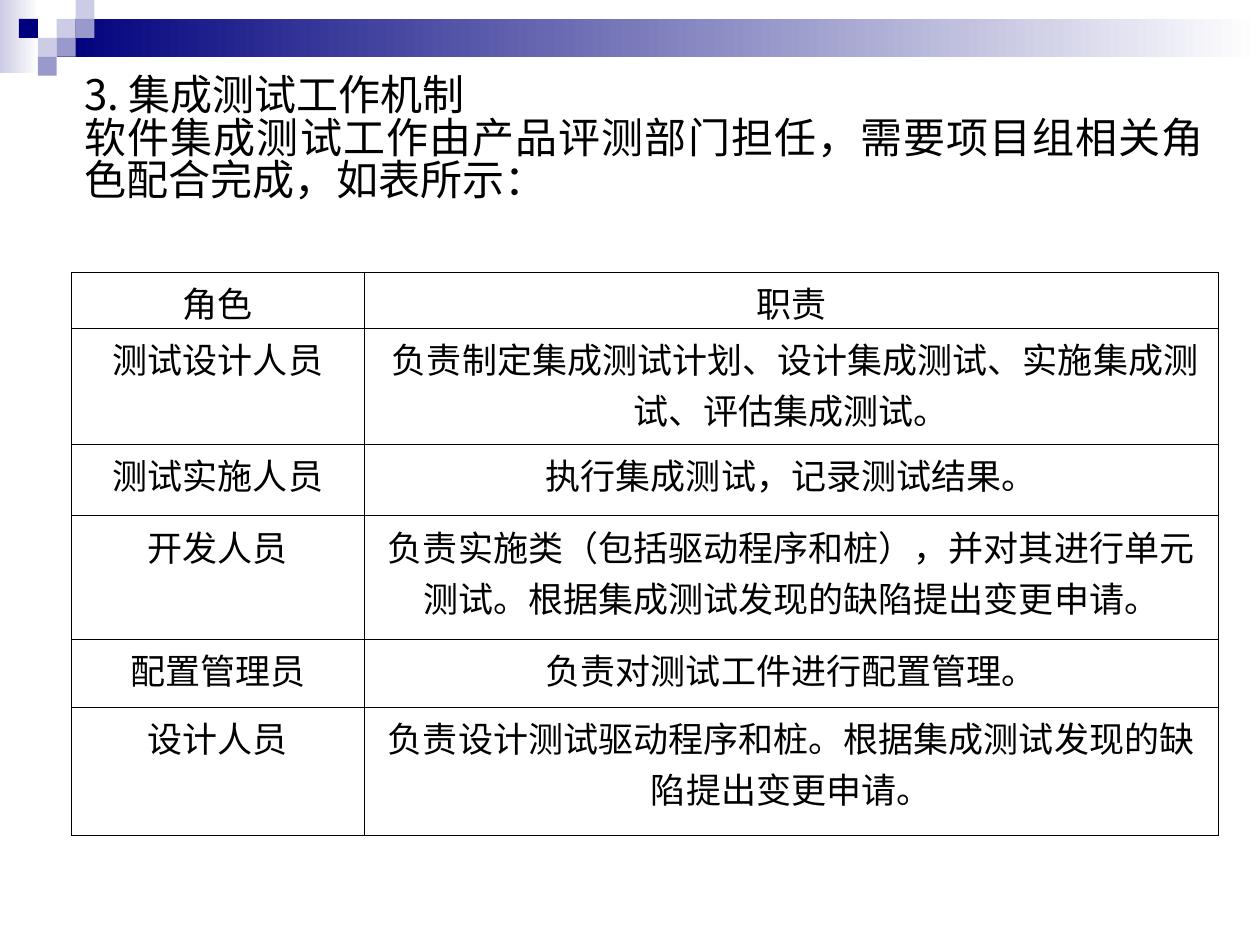
"""Build the slide on how integration testing work is organised."""
import dataclasses

import pptx
import pptx.dml.color
import pptx.enum.shapes
import pptx.enum.text
import pptx.oxml
import pptx.oxml.ns
import pptx.util

Inches = pptx.util.Inches
Align = pptx.enum.text.PP_ALIGN


@dataclasses.dataclass(frozen=True)
class Theme:
    """Colours, fonts and type sizes of the slide."""
    navy: str = "00007D"
    violet: str = "9999CC"
    pale: str = "CCCCE6"
    white: str = "FFFFFF"
    ink: str = "000000"
    border: str = "080000"
    border_width: float = 0.45
    font: str = "Noto Sans CJK SC"
    header_font: str = "Times New Roman"
    intro_size: int = 24
    cell_size: int = 20


THEME = Theme()
UNIT = 0.15
LEFT, WIDTH = 0.57, 9.09
INTRO = [
    "3. 集成测试工作机制",
    "软件集成测试工作由产品评测部门担任，需要项目组相关角色配合完成，如表所示：",
]
COLUMNS = [2.32, 6.78]
ROWS = [
    (0.35, "角色", "职责"),
    (0.92, "测试设计人员", " 负责制定集成测试计划、设计集成测试、实施集成测试、评估集成测试。"),
    (0.57, "测试实施人员", "执行集成测试，记录测试结果。"),
    (0.98, "开发人员", "负责实施类（包括驱动程序和桩），并对其进行单元测试。根据集成测试发现的缺陷提出变更申请。"),
    (0.54, "配置管理员", "负责对测试工件进行配置管理。"),
    (1.02, "设计人员", "负责设计测试驱动程序和桩。根据集成测试发现的缺陷提出变更申请。"),
]
MOSAIC = [
    (3, 1, THEME.pale), (4, 0, THEME.pale), (4, 1, THEME.violet), (2, 2, THEME.pale),
    (1, 1, THEME.navy), (3, 2, THEME.violet), (2, 3, THEME.violet),
]


def apply(target, values):
    """Set every attribute in a dict of format values."""
    for name, value in values.items():
        setattr(target, name, value)


def rgb(code):
    """Turn a hex code into a colour."""
    return pptx.dml.color.RGBColor.from_string(code)


def add_block(page, frame, *colours):
    """Add a borderless rectangle, filled plain or fading between two colours."""
    kind = pptx.enum.shapes.MSO_SHAPE.RECTANGLE
    block = page.shapes.add_shape(kind, *map(Inches, frame))
    block.shadow.inherit = False
    block.line.fill.background()
    if len(colours) == 1:
        block.fill.solid()
        block.fill.fore_color.rgb = rgb(colours[0])
        return
    block.fill.gradient()
    block.fill.gradient_angle = 0
    for stop, colour, position in zip(block.fill.gradient_stops, colours, (0, 1)):
        stop.color.rgb = rgb(colour)
        stop.position = position


def write(para, text, size, alignment, font=THEME.font):
    """Write one formatted run into a paragraph."""
    para.alignment = alignment
    span = para.add_run()
    span.text = text
    apply(span.font, {"size": pptx.util.Pt(size), "name": font, "bold": False})
    span.font.color.rgb = rgb(THEME.ink)
    latin = span.font._element.find(pptx.oxml.ns.qn("a:latin"))
    east_asian = pptx.oxml.parse_xml(
        f'<a:ea {pptx.oxml.ns.nsdecls("a")} typeface="{THEME.font}"/>')
    latin.addnext(east_asian)


def add_banner(page):
    """Draw the fading bands and the mosaic of squares at the top."""
    add_block(page, (0, 0, 0.31, 0.58), THEME.pale, THEME.white)
    add_block(page, (3 * UNIT, UNIT, 10 - 3 * UNIT, 2 * UNIT), THEME.navy, THEME.white)
    for column, row, colour in MOSAIC:
        add_block(page, (column * UNIT, row * UNIT, UNIT, UNIT), colour)


def add_intro(page):
    """Fill the title placeholder with the heading and its sentence."""
    box = page.shapes.title
    apply(box, {"left": Inches(LEFT), "top": Inches(0.56),
                "width": Inches(WIDTH), "height": Inches(1.3)})
    frame = box.text_frame
    apply(frame, {"word_wrap": True,
                  "auto_size": pptx.enum.text.MSO_AUTO_SIZE.NONE,
                  "vertical_anchor": pptx.enum.text.MSO_ANCHOR.TOP})
    for index, text in enumerate(INTRO):
        para = frame.add_paragraph() if index else frame.paragraphs[0]
        write(para, text, THEME.intro_size, Align.JUSTIFY)
        para.line_spacing = 0.84


def add_borders(cell):
    """Draw a thin line on all four sides of a cell."""
    width = pptx.util.Pt(THEME.border_width)
    for side in ("lnL", "lnR", "lnT", "lnB"):
        cell._tc.get_or_add_tcPr().append(pptx.oxml.parse_xml(
            f'<a:{side} {pptx.oxml.ns.nsdecls("a")} w="{width}"><a:solidFill>'
            f'<a:srgbClr val="{THEME.border}"/></a:solidFill></a:{side}>'))


def add_roles(page):
    """Add the table of roles and duties."""
    height = sum(row[0] for row in ROWS)
    frame = map(Inches, (LEFT, 2.16, WIDTH, height))
    table = page.shapes.add_table(len(ROWS), len(COLUMNS), *frame).table
    apply(table, {"first_row": False, "horz_banding": False})
    for column, width in zip(table.columns, COLUMNS):
        column.width = Inches(width)
    for index, (row, (height, *texts)) in enumerate(zip(table.rows, ROWS)):
        row.height = Inches(height)
        for column, (cell, text) in enumerate(zip(row.cells, texts)):
            add_borders(cell)
            cell.fill.background()
            apply(cell, {"margin_top": Inches(0.04), "margin_bottom": 0})
            font = THEME.font if index else THEME.header_font
            write(cell.text_frame.paragraphs[0], text, THEME.cell_size, Align.CENTER, font)


def main():
    """Build and save the deck."""
    deck = pptx.Presentation()
    apply(deck, {"slide_width": Inches(10), "slide_height": Inches(7.5)})
    page = deck.slides.add_slide(deck.slide_layouts.get_by_name("Title Only"))
    add_banner(page)
    add_intro(page)
    add_roles(page)
    deck.save("out.pptx")


if __name__ == "__main__":
    main()
